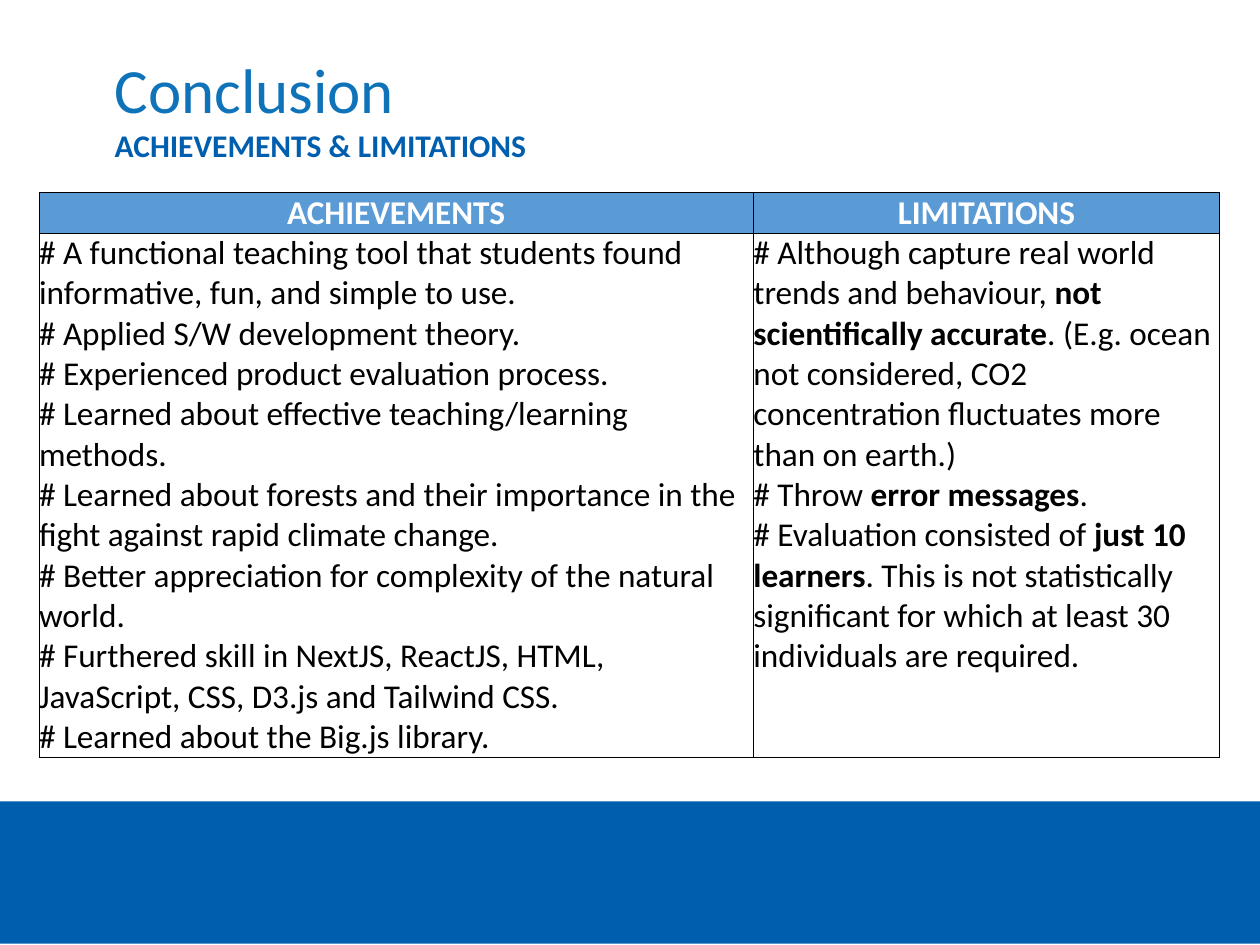
from dataclasses import dataclass

from lxml.etree import SubElement
from pptx import Presentation
from pptx.dml.color import RGBColor
from pptx.enum.shapes import MSO_SHAPE as Shape
from pptx.enum.text import MSO_ANCHOR as Anchor, MSO_AUTO_SIZE as AutoSize, PP_ALIGN as Align
from pptx.oxml.ns import qn
from pptx.util import Inches, Pt


@dataclass(frozen=True)
class Theme:
    """Colours, font and type sizes of the deck."""
    font: str = "Calibri"
    title: str = "0E73B9"
    brand: str = "005EAE"
    header: str = "5B9BD5"
    light: str = "FFFFFF"
    dark: str = "000000"
    title_size: float = 36
    subtitle_size: float = 18
    table_size: float = 19
    border: float = 0.5


THEME = Theme()

HEADERS = ["ACHIEVEMENTS", "LIMITATIONS"]
ACHIEVEMENTS = [
    "# A functional teaching tool that students found informative, fun, and simple to use.",
    "# Applied S/W development theory.",
    "# Experienced product evaluation process.",
    "# Learned about effective teaching/learning methods.",
    "# Learned about forests and their importance in the fight against rapid climate change.",
    "# Better appreciation for complexity of the natural world.",
    "# Furthered skill in NextJS, ReactJS, HTML, JavaScript, CSS, D3.js and Tailwind CSS.",
    "# Learned about the Big.js library.",
]
LIMITATIONS = [
    "# Although capture real world trends and behaviour, **not scientifically accurate**. "
    "(E.g. ocean not considered, CO2 concentration fluctuates more than on earth.)",
    "# Throw **error messages**.",
    "# Evaluation consisted of **just 10 learners**. This is not statistically "
    "significant for which at least 30 individuals are required.",
]


def write(para, text, size, color, bold=False, align=Align.LEFT):
    """Fill a paragraph, switching weight at each double asterisk."""
    para.alignment = align
    para.space_before = Pt(0)
    for index, part in enumerate(text.split("**")):
        span = para.add_run()
        span.text = part
        span.font.name = THEME.font
        span.font.size = Pt(size)
        span.font.bold = bold != (index % 2 == 1)
        span.font.color.rgb = RGBColor.from_string(color)


class PageBuilder:
    """Holds the theme and the current slide."""

    def __init__(self, page, theme):
        """Keep the slide and its style."""
        self.page = page
        self.theme = theme

    def band(self, left, top, width, height):
        """Draw a plain rectangle in the brand colour."""
        box = self.page.shapes.add_shape(
            Shape.RECTANGLE, Inches(left), Inches(top), Inches(width), Inches(height))
        box.shadow.inherit = False
        box.fill.solid()
        box.fill.fore_color.rgb = RGBColor.from_string(self.theme.brand)
        box.line.fill.background()

    def heading(self, box, text, area, anchor, **style):
        """Place a placeholder without margins or bullet and write its line."""
        box.left, box.top, box.width, box.height = map(Inches, area)
        frame = box.text_frame
        frame.auto_size = AutoSize.NONE
        frame.word_wrap = True
        frame.vertical_anchor = anchor
        frame.margin_left = frame.margin_top = frame.margin_right = frame.margin_bottom = 0
        para = frame.paragraphs[0]
        props = para._p.get_or_add_pPr()
        props.set("marL", "0")
        props.set("indent", "0")
        SubElement(props, qn("a:buNone"))
        write(para, text, **style)

    def cell(self, cell, lines, fill=None, anchor=Anchor.TOP, **style):
        """Border a table cell, fill it and write its paragraphs."""
        cell.margin_left = cell.margin_top = cell.margin_right = cell.margin_bottom = 0
        cell.vertical_anchor = anchor
        props = cell._tc.get_or_add_tcPr()
        for side in ("lnL", "lnR", "lnT", "lnB"):
            line = SubElement(props, qn(f"a:{side}"), w=str(Pt(self.theme.border)))
            solid = SubElement(line, qn("a:solidFill"))
            SubElement(solid, qn("a:srgbClr"), val=self.theme.dark)
        if fill:
            cell.fill.solid()
            cell.fill.fore_color.rgb = RGBColor.from_string(fill)
        else:
            cell.fill.background()
        frame = cell.text_frame
        for index, text in enumerate(lines):
            para = frame.add_paragraph() if index else frame.paragraphs[0]
            write(para, text, size=self.theme.table_size, **style)

    def table(self, left, top, widths, heights, headers, columns):
        """Add a table with a header row above one cell of lines per column."""
        table = self.page.shapes.add_table(
            2, len(headers), Inches(left), Inches(top),
            Inches(sum(widths)), Inches(sum(heights))).table
        table.horz_banding = False
        for row, height in zip(table.rows, heights):
            row.height = Inches(height)
        for index, (header, lines) in enumerate(zip(headers, columns)):
            table.columns[index].width = Inches(widths[index])
            self.cell(table.cell(0, index), [header], fill=self.theme.header,
                      anchor=Anchor.MIDDLE, color=self.theme.light,
                      bold=True, align=Align.CENTER)
            self.cell(table.cell(1, index), lines, color=self.theme.dark)


def main():
    """Build the conclusion slide and save it."""
    deck = Presentation()
    deck.slide_width, deck.slide_height = Inches(10), Inches(7.5)
    page = deck.slides.add_slide(deck.slide_layouts[1])
    builder = PageBuilder(page, THEME)
    builder.band(0, 6.36, 10, 1.13)
    builder.heading(page.shapes.title, "Conclusion", (0.91, 0.39, 8.2, 0.61),
                    Anchor.BOTTOM, size=THEME.title_size, color=THEME.title)
    builder.heading(page.placeholders[1], "ACHIEVEMENTS & LIMITATIONS", (0.91, 1, 8.2, 0.3),
                    Anchor.TOP, size=THEME.subtitle_size, color=THEME.brand, bold=True)
    builder.table(0.31, 1.53, (5.67, 3.7), (0.32, 4.16), HEADERS,
                  (ACHIEVEMENTS, LIMITATIONS))
    deck.save("out.pptx")


if __name__ == "__main__":
    main()
